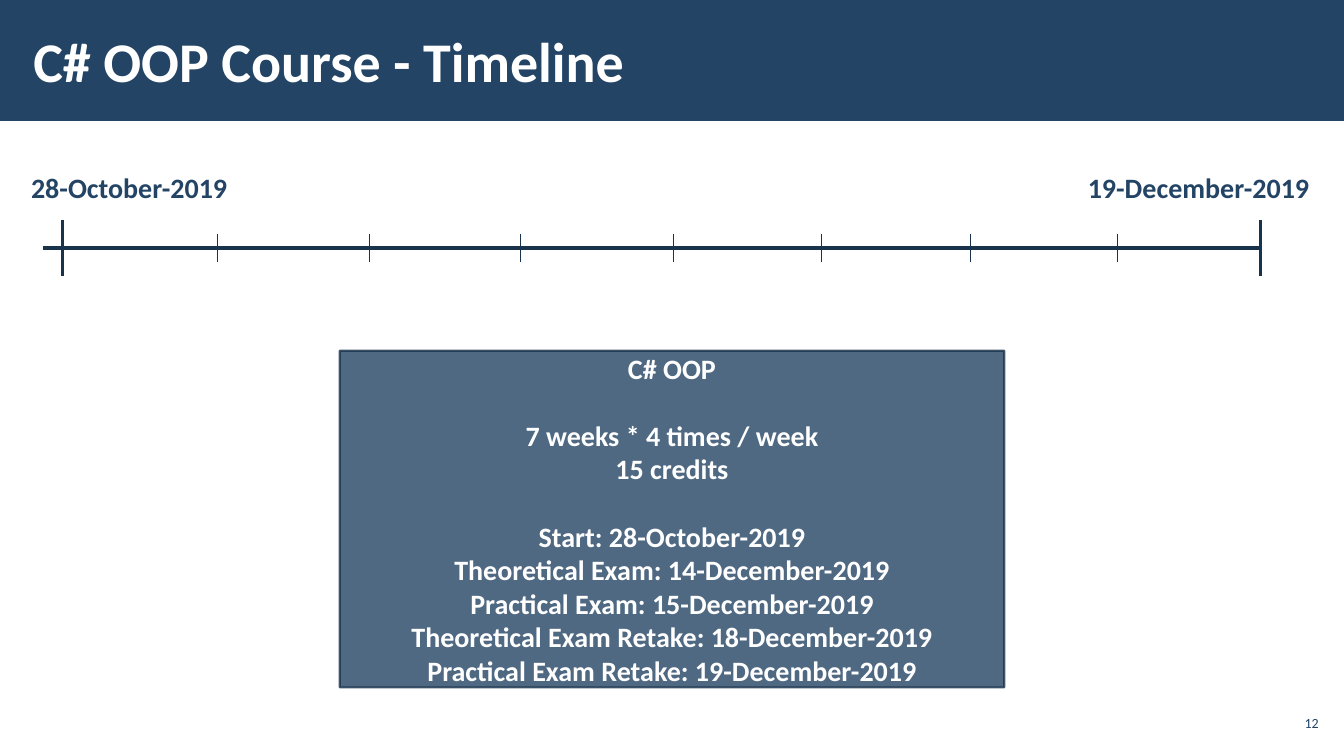
from lxml.etree import SubElement
from pptx import Presentation
from pptx.dml.color import RGBColor
from pptx.enum.shapes import MSO_CONNECTOR as Connector, MSO_SHAPE as Shape
from pptx.enum.text import MSO_ANCHOR as Anchor, MSO_AUTO_SIZE as AutoSize, PP_ALIGN as Align
from pptx.oxml.ns import qn
from pptx.util import Pt

PX = 9144  # 100 px to the inch
NAVY = RGBColor(0x23, 0x44, 0x65)
DARK = RGBColor(0x1A, 0x33, 0x4C)
WHITE = RGBColor(0xFF, 0xFF, 0xFF)

AXIS_Y = 246
AXIS_LEFT, START_X, END_X = 43, 62, 1250
WEEK_TICKS = (216, 366, 516, 668, 815, 962, 1108)

COURSE_BLOCKS = (
    ("C# OOP",),
    ("7 weeks * 4 times / week", "15 credits"),
    (
        "Start: 28-October-2019",
        "Theoretical Exam: 14-December-2019",
        "Practical Exam: 15-December-2019",
        "Theoretical Exam Retake: 18-December-2019",
        "Practical Exam Retake: 19-December-2019",
    ),
)


def px(*lengths):
    return [length * PX for length in lengths]


def write(para, text, size=20, color=NAVY, bold=True, align=Align.LEFT, before=0):
    para.alignment = align
    para.space_before = Pt(before)
    span = para.add_run()
    span.text = text
    span.font.name = "Calibri"
    span.font.size = Pt(size)
    span.font.bold = bold
    span.font.color.rgb = color


def set_opacity(fill_parent, percent):
    color = fill_parent.find(qn("a:solidFill"))[0]
    SubElement(color, qn("a:alpha"), val=str(percent * 1000))


class TimelinePage:
    def __init__(self, deck):
        self.page = deck.slides.add_slide(deck.slide_layouts[5])
        self.shapes = self.page.shapes

    def title(self, text, left, top, width, height):
        box = self.shapes.title
        box.left, box.top, box.width, box.height = px(left, top, width, height)
        frame = box.text_frame
        frame.auto_size = AutoSize.NONE
        frame.vertical_anchor = Anchor.MIDDLE
        frame.margin_left, frame.margin_right = px(12, 12)
        frame.margin_top, frame.margin_bottom = px(4, 4)
        write(frame.paragraphs[0], text, size=40, color=WHITE)

    def rectangle(self, left, top, width, height):
        box = self.shapes.add_shape(Shape.RECTANGLE, *px(left, top, width, height))
        box.shadow.inherit = False
        box.fill.solid()
        box.fill.fore_color.rgb = NAVY
        return box

    def banner(self, width, height):
        box = self.rectangle(0, 0, width, height)
        box.line.fill.background()
        self.shapes.title._element.addprevious(box._element)

    def course_box(self, blocks, left, top, width, height):
        """Draw a translucent panel with a line's gap between text blocks."""
        box = self.rectangle(left, top, width, height)
        box.line.color.rgb = DARK
        box.line.width = Pt(1.5)
        properties = box._element.spPr
        set_opacity(properties, 80)
        set_opacity(properties.find(qn("a:ln")), 80)
        frame = box.text_frame
        frame.word_wrap = True
        frame.vertical_anchor = Anchor.MIDDLE
        para = frame.paragraphs[0]
        for block_number, block in enumerate(blocks):
            for line_number, text in enumerate(block):
                if block_number or line_number:
                    para = frame.add_paragraph()
                gap = 24 if block_number and not line_number else 0
                write(para, text, color=WHITE, align=Align.CENTER, before=gap)

    def date(self, text, left, top, width, height):
        frame = self.shapes.add_textbox(*px(left, top, width, height)).text_frame
        frame.word_wrap = False
        frame.auto_size = AutoSize.SHAPE_TO_FIT_TEXT
        write(frame.paragraphs[0], text)

    def page_number(self, text, left, top, width, height):
        frame = self.shapes.add_textbox(*px(left, top, width, height)).text_frame
        frame.word_wrap = True
        frame.vertical_anchor = Anchor.MIDDLE
        frame.margin_left, frame.margin_right = px(4, 4)
        frame.margin_top, frame.margin_bottom = px(4, 4)
        write(frame.paragraphs[0], text, size=10, bold=False, align=Align.RIGHT)

    def line(self, start_x, start_y, end_x, end_y, weight=2.25):
        line = self.shapes.add_connector(
            Connector.STRAIGHT, *px(start_x, start_y, end_x, end_y))
        line.line.color.rgb = DARK
        line.line.width = Pt(weight)
        SubElement(line._element.spPr, qn("a:effectLst"))

    def tick(self, x, reach, weight):
        self.line(x, AXIS_Y - reach, x, AXIS_Y + reach, weight)


def main():
    deck = Presentation()
    deck.slide_width, deck.slide_height = px(1333, 750)
    page = TimelinePage(deck)

    page.banner(1333, 120)
    page.title("C# OOP Course - Timeline", 21, 11, 1039, 97)
    page.page_number("12", 1265, 700, 47, 34)
    page.date("28-October-2019", 21, 164, 217, 44)
    page.date("19-December-2019", 1069, 164, 242, 44)
    page.course_box(COURSE_BLOCKS, 337, 348, 659, 334)

    page.line(AXIS_LEFT, AXIS_Y, END_X, AXIS_Y)
    for x in (START_X, END_X):
        page.tick(x, reach=28, weight=2.25)
    for x in WEEK_TICKS:
        page.tick(x, reach=14, weight=0.5)

    deck.save("out.pptx")


if __name__ == "__main__":
    main()
